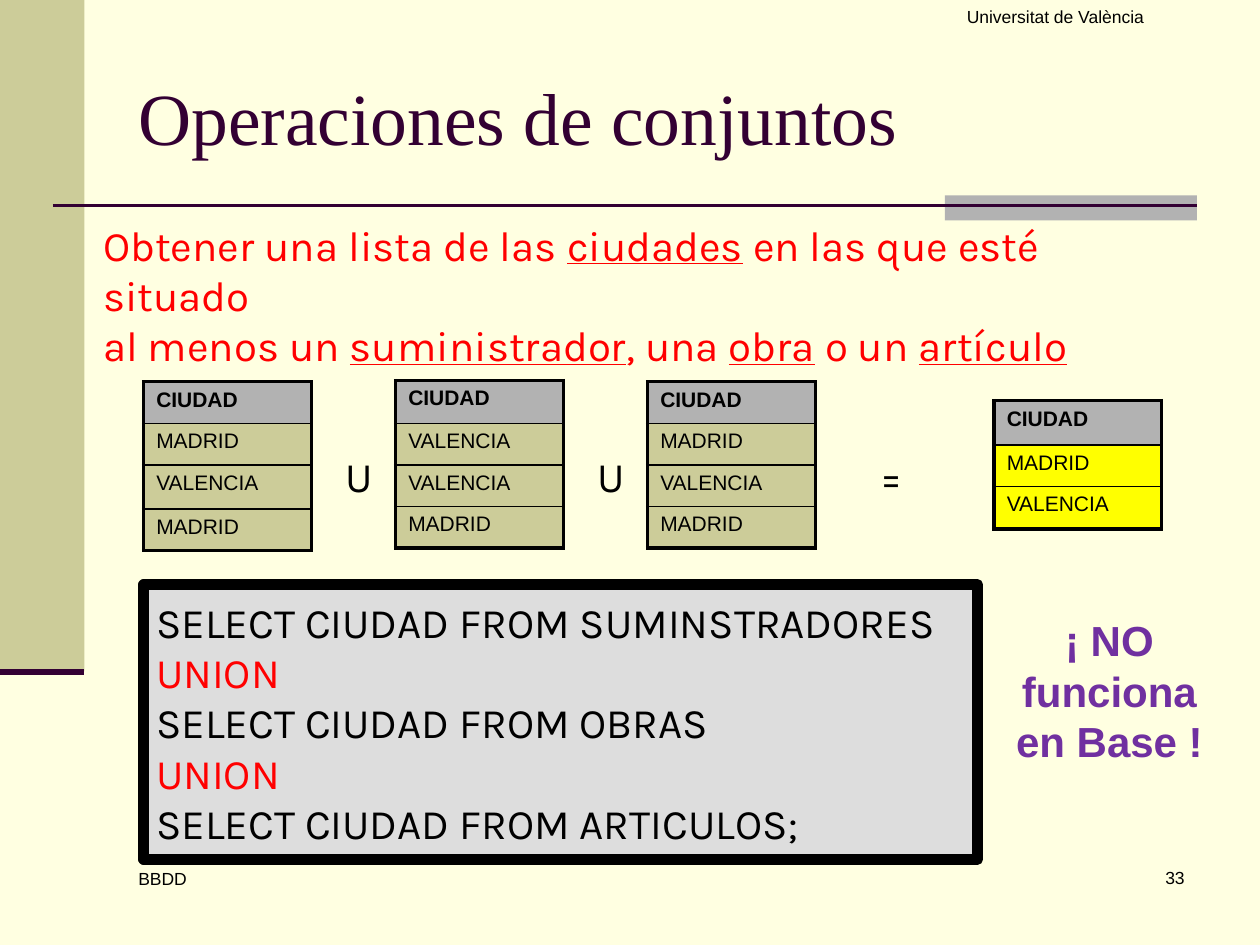
from dataclasses import dataclass

from lxml.etree import SubElement
from pptx import Presentation
from pptx.dml.color import RGBColor
from pptx.enum.shapes import MSO_CONNECTOR, MSO_SHAPE
from pptx.enum.text import MSO_ANCHOR, PP_ALIGN
from pptx.oxml import parse_xml
from pptx.oxml.ns import nsdecls, qn
from pptx.util import Inches, Pt

BLACK = "000000"
RED = "FF0000"
PLUM = "330033"
OLIVE = "CCCC99"
GREY = "B2B2B2"
YELLOW = "FFFF00"
OUTER, INNER = 2.25, 1


@dataclass
class CityTable:
    left: float
    top: float
    cities: list[str]
    row_heights: list[float]
    fill: str = OLIVE


@dataclass
class Label:
    text: str
    box: tuple[float, float, float, float]
    size: float = 24
    font: str = "Karla"
    color: str = BLACK
    bold: bool = False
    align: PP_ALIGN = PP_ALIGN.LEFT
    anchor: MSO_ANCHOR = MSO_ANCHOR.TOP


def rgb(color: str) -> RGBColor:
    return RGBColor.from_string(color)


def paint(target, color: str) -> None:
    target.fill.solid()
    target.fill.fore_color.rgb = rgb(color)


def write_text(frame, text: str, *, size=24, font="Karla", color=BLACK, bold=False,
               align=PP_ALIGN.LEFT, highlights=()) -> None:
    for index, line in enumerate(text.split("\n")):
        paragraph = frame.paragraphs[0] if index == 0 else frame.add_paragraph()
        paragraph.alignment = align
        for part, words in enumerate(line.split("_")):
            run = paragraph.add_run()
            run.text = words
            run.font.size = Pt(size)
            run.font.name = font
            run.font.bold = bold
            run.font.underline = part % 2 == 1
            run.font.color.rgb = rgb(RED if line in highlights else color)


def add_label(slide, label: Label) -> None:
    frame = slide.shapes.add_textbox(*map(Inches, label.box)).text_frame
    frame.word_wrap = True
    frame.vertical_anchor = label.anchor
    write_text(frame, label.text, size=label.size, font=label.font,
               color=label.color, bold=label.bold, align=label.align)


def add_block(slide, box: tuple[float, float, float, float], color: str):
    block = slide.shapes.add_shape(MSO_SHAPE.RECTANGLE, *map(Inches, box))
    block.shadow.inherit = False
    paint(block, color)
    block.line.fill.background()
    return block


def add_rule(slide, left: float, right: float, height: float, width: float) -> None:
    rule = slide.shapes.add_connector(
        MSO_CONNECTOR.STRAIGHT, Inches(left), Inches(height), Inches(right), Inches(height))
    rule.line.color.rgb = rgb(PLUM)
    rule.line.width = Pt(width)
    SubElement(rule._element.spPr, qn("a:effectLst"))


def set_borders(cell, widths: dict[str, float]) -> None:
    properties = cell._tc.get_or_add_tcPr()
    for index, (side, width) in enumerate(widths.items()):
        properties.insert(index, parse_xml(
            f'<a:ln{side} {nsdecls("a")} w="{Pt(width)}"><a:solidFill>'
            f'<a:srgbClr val="{BLACK}"/></a:solidFill></a:ln{side}>'))


def add_city_table(slide, spec: CityTable) -> None:
    rows = ["CIUDAD", *spec.cities]
    table = slide.shapes.add_table(
        len(rows), 1, Inches(spec.left), Inches(spec.top),
        Inches(1.33), Inches(sum(spec.row_heights))).table
    table.horz_banding = False
    for index, (city, height) in enumerate(zip(rows, spec.row_heights)):
        header = index == 0
        table.rows[index].height = Inches(height)
        cell = table.cell(index, 0)
        paint(cell, GREY if header else spec.fill)
        set_borders(cell, {
            "L": OUTER, "R": OUTER,
            "T": OUTER if header else INNER,
            "B": OUTER if index == len(rows) - 1 else INNER})
        write_text(cell.text_frame, city, size=12, font="Arial", bold=header)


CITY_TABLES = [
    CityTable(1.14, 3.03, ["MADRID", "VALENCIA", "MADRID"], [0.33, 0.33, 0.35, 0.33]),
    CityTable(3.14, 3.02, ["VALENCIA", "VALENCIA", "MADRID"], [0.34, 0.33, 0.33, 0.33]),
    CityTable(5.14, 3.03, ["MADRID", "VALENCIA", "MADRID"], [0.33] * 4),
    CityTable(7.89, 3.18, ["MADRID", "VALENCIA"], [0.35, 0.33, 0.34], YELLOW),
]

LABELS = [
    Label("33", (7.42, 6.83, 2.08, 0.5), 10, "Arial", align=PP_ALIGN.RIGHT),
    Label("Operaciones de conjuntos", (1, 0.3, 8.5, 1.25), 42, "Times New Roman", PLUM,
          anchor=MSO_ANCHOR.MIDDLE),
    Label("Universitat de València", (6.75, 0, 3.25, 0.5), 10, "Arial",
          align=PP_ALIGN.CENTER),
    Label("BBDD", (1, 6.84, 2.17, 0.5), 10, "Arial"),
    Label("Obtener una lista de las _ciudades_ en las que esté situado\n"
          "al menos un _suministrador_, una _obra_ o un _artículo_",
          (0.72, 1.69, 8.59, 1.3), color=RED),
    *[Label(sign, (left, 3.53, 0.44, 0.5))
      for sign, left in [("U", 2.64), ("U", 4.64), ("=", 6.89)]],
    Label("¡ NO funciona en Base !", (7.93, 4.83, 1.75, 1.31), 24, "Arial", "7030A0",
          bold=True, align=PP_ALIGN.CENTER),
]

QUERY = """SELECT CIUDAD FROM SUMINSTRADORES
UNION
SELECT CIUDAD FROM OBRAS
UNION
SELECT CIUDAD FROM ARTICULOS;"""


def add_query(slide) -> None:
    query = add_block(slide, (1.14, 4.64, 6.62, 2.18), "DDDDDD")
    query.line.color.rgb = rgb(BLACK)
    query.line.width = Pt(6)
    query.text_frame.word_wrap = True
    query.text_frame.vertical_anchor = MSO_ANCHOR.MIDDLE
    write_text(query.text_frame, QUERY, highlights=("UNION",))


def main() -> None:
    presentation = Presentation()
    presentation.slide_width = Inches(10)
    presentation.slide_height = Inches(7.5)
    slide = presentation.slides.add_slide(presentation.slide_layouts[6])
    paint(slide.background, "FFFFE1")

    add_block(slide, (0, 0, 0.67, 5.33), OLIVE)
    add_block(slide, (7.5, 1.55, 2, 0.2), GREY)
    add_rule(slide, 0.42, 9.5, 1.63, 1.5)
    add_rule(slide, 0, 0.67, 5.33, 3.5)
    add_query(slide)
    for city_table in CITY_TABLES:
        add_city_table(slide, city_table)
    for label in LABELS:
        add_label(slide, label)

    presentation.save("out.pptx")


if __name__ == "__main__":
    main()
